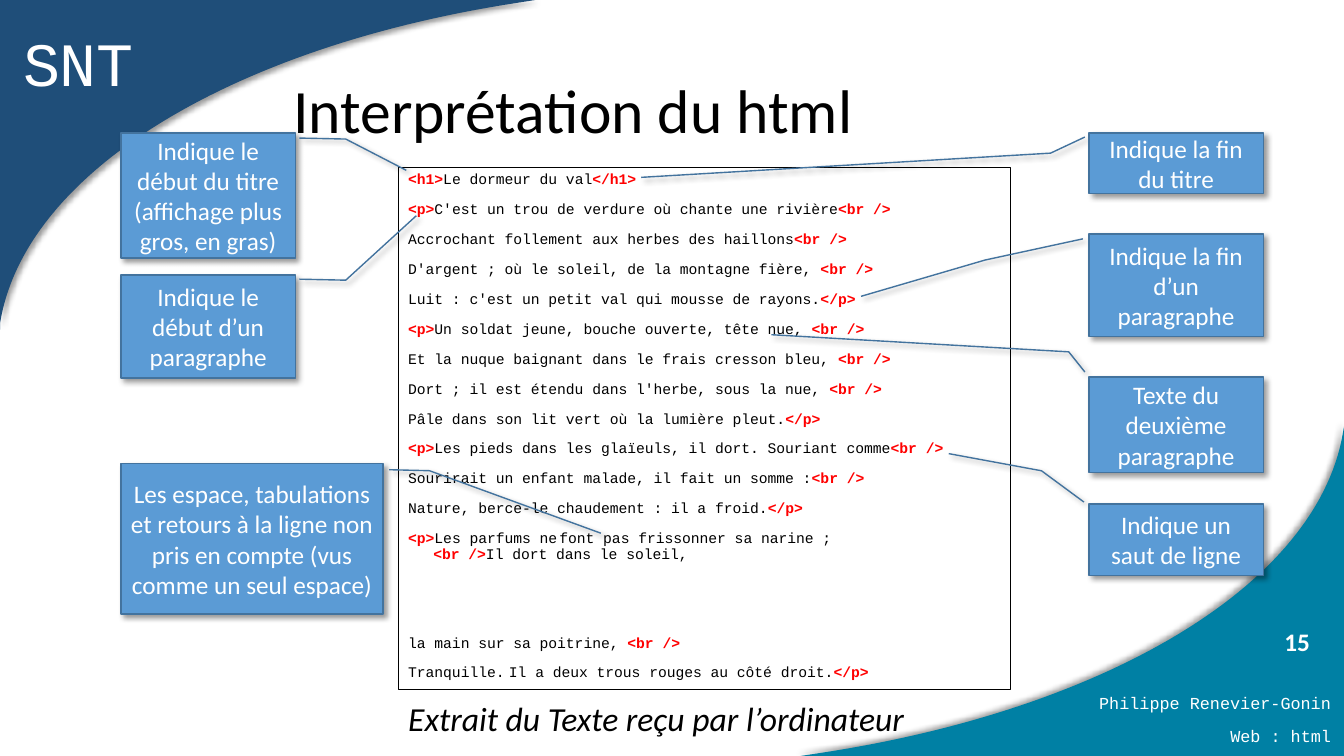
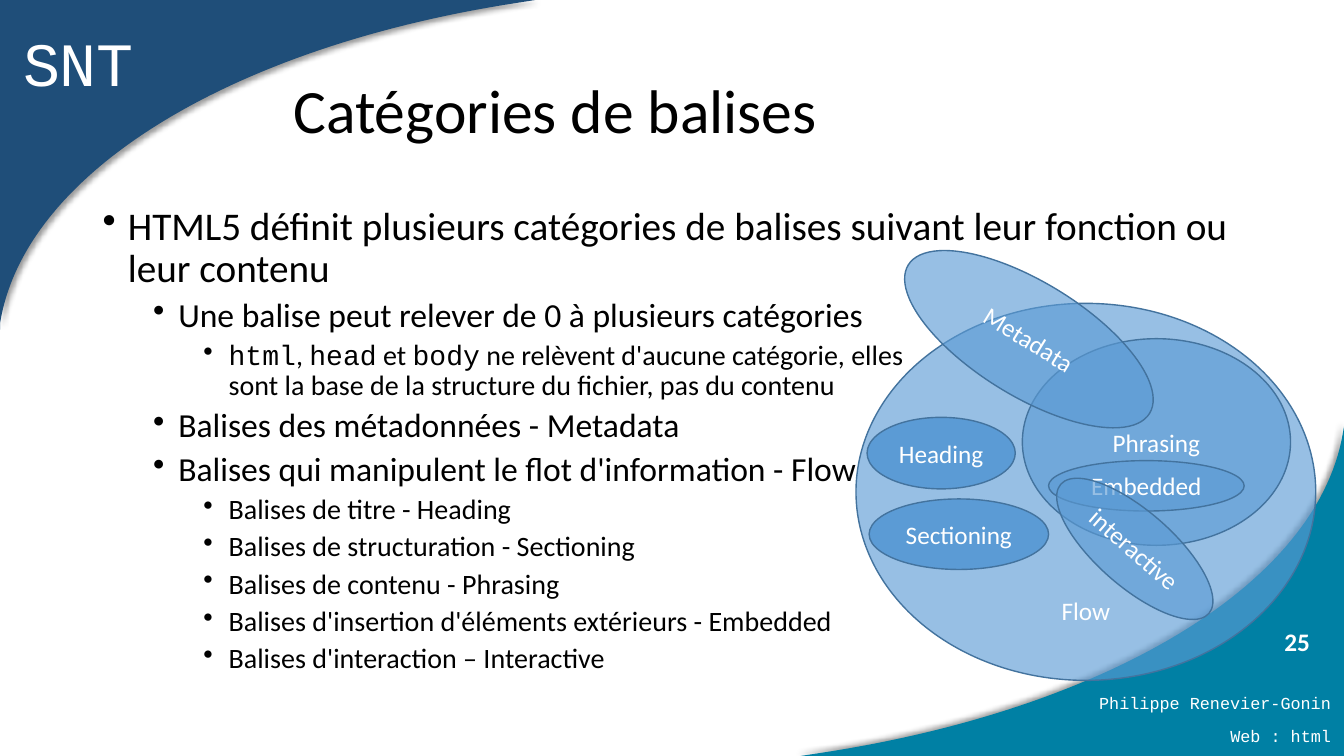
"""Build two slides of a lesson on HTML tags."""
from lxml import etree
from pptx import Presentation
from pptx.dml.color import RGBColor
from pptx.enum.shapes import MSO_SHAPE
from pptx.enum.text import MSO_ANCHOR, PP_ALIGN
from pptx.oxml.ns import qn
from pptx.util import Pt

PX = 9144
WIDE, HIGH = 1333, 750
OVAL, CALLOUT = MSO_SHAPE.OVAL, MSO_SHAPE.LINE_CALLOUT_2
LEFT, MID, RIGHT = PP_ALIGN.LEFT, PP_ALIGN.CENTER, PP_ALIGN.RIGHT
MIDDLE, BOTTOM = MSO_ANCHOR.MIDDLE, MSO_ANCHOR.BOTTOM
NAVY, TEAL, BLUE, EDGE = "1F4E79", "0080A4", "5B9BD5", "43739E"
WHITE, BLACK, RED = "FFFFFF", "000000", "FF0000"
SANS, MONO = "Calibri", "Courier New"
rgb = RGBColor.from_string


def paint(shape, fill, line=None, alpha=100, shade=None):
    """Set fill, outline, opacity and the angle of the shadow."""
    shape.shadow.inherit = False
    shape.fill.solid()
    shape.fill.fore_color.rgb = rgb(fill)
    if line:
        shape.line.color.rgb = rgb(line)
        shape.line.width = Pt(1)
    else:
        shape.line.fill.background()
    props = shape._element.spPr
    if alpha < 100:
        tone = props.find(qn("a:solidFill")).find(qn("a:srgbClr"))
        etree.SubElement(tone, qn("a:alpha"), val=str(alpha * 1000))
    if shade is not None:
        drop = etree.SubElement(
            props.find(qn("a:effectLst")), qn("a:outerShdw"), blurRad=str(Pt(4)),
            dist=str(Pt(3)), dir=str(shade * 60000), algn="tl", rotWithShape="0")
        tone = etree.SubElement(drop, qn("a:srgbClr"), val=BLACK)
        etree.SubElement(tone, qn("a:alpha"), val="40000")


def write(frame, text, size=18, font=SANS, color=WHITE, bold=False, italic=False,
          align=LEFT, before=0, line=1.0, indent=0, bullet=False, tab=0, alt=None):
    """Add a paragraph; every second part between bars takes the alt format."""
    para = frame.add_paragraph() if frame.text else frame.paragraphs[0]
    para.alignment = align
    para.space_before = Pt(before)
    para.line_spacing = line
    props = para._p.get_or_add_pPr()
    props.set("marL", str(indent * PX))
    props.set("indent", str(-25 * PX if bullet else 0))
    if bullet:
        etree.SubElement(props, qn("a:buChar"), char="•")
    if tab:
        stops = etree.SubElement(props, qn("a:tabLst"))
        etree.SubElement(stops, qn("a:tab"), pos=str(tab * PX), algn="l")
    base = dict(font=font, color=color, bold=bold)
    for i, part in enumerate(text.split("|")):
        look = {**base, **(alt or {})} if i % 2 else base
        for j, piece in enumerate(part.split("\n")):
            if j:
                para.add_line_break()
            if piece:
                run = para.add_run()
                run.text = piece
                run.font.size = Pt(size)
                run.font.name = look["font"]
                run.font.bold = look["bold"]
                run.font.italic = italic
                run.font.color.rgb = rgb(look["color"])


deck = Presentation()
deck.slide_width, deck.slide_height = WIDE * PX, HIGH * PX

CORNERS = [
    (TEAL, 225, [(WIDE, HIGH), (794, HIGH)],
     [(814, 747), (1097, 704), (1307, 580), (1332, 429)], (WIDE, 423)),
    (NAVY, 45, [(0, 0), (531, 0)],
     [(512, 3), (232, 46), (24, 170), (0, 321)], (0, 327)),
]
SHARED = [
    ("Web : html", (892, 715, 438, 30), dict(size=12, font=MONO, align=RIGHT)),
    ("Philippe Renevier-Gonin", (892, 682, 438, 30),
     dict(size=12, font=MONO, align=RIGHT)),
    ("SNT", (13, 20, 131, 84), dict(size=44, font=MONO)),
]
TITLE = dict(size=44, color=BLACK, line=0.9)
STEPS = 60

slides = []
for title, number in [("Interprétation du html", "15"), ("Catégories de balises", "25")]:
    slide = deck.slides.add_slide(deck.slide_layouts[6])
    slides.append(slide)
    for color, angle, start, curve, end in CORNERS:
        points = list(start)
        for step in range(STEPS + 1):
            t = step / STEPS
            parts = [(1 - t) ** 3, 3 * t * (1 - t) ** 2, 3 * t * t * (1 - t), t ** 3]
            points.append([sum(k * p[axis] for k, p in zip(parts, curve))
                           for axis in (0, 1)])
        points.append(end)
        points = [(round(x * PX), round(y * PX)) for x, y in points]
        build = slide.shapes.build_freeform(*points[0], scale=1.0)
        build.add_line_segments(points[1:], close=True)
        paint(build.convert_to_shape(), color, shade=angle)
    for text, place, look in SHARED:
        frame = slide.shapes.add_textbox(*[v * PX for v in place]).text_frame
        frame.word_wrap = text != "SNT"
        write(frame, text, **look)
    for text, place, look in [(number, (1264, 597, 57, 78), dict(bold=True)),
                              (title, (281, 40, 961, 145), TITLE)]:
        frame = slide.shapes.add_textbox(*[v * PX for v in place]).text_frame
        frame.word_wrap = True
        frame.vertical_anchor = MIDDLE
        write(frame, text, **look)

first, second = slides

CODE = [
    ("|<h1>|Le dormeur du val|</h1>|", {}),
    ("|<p>|C'est un trou de verdure où chante une rivière|<br />|", {}),
    ("Accrochant follement aux herbes des haillons|<br />|", {}),
    ("D'argent ; où le soleil, de la montagne fière, |<br />|", {}),
    ("Luit : c'est un petit val qui mousse de rayons.|</p>|", {}),
    ("|<p>|Un soldat jeune, bouche ouverte, tête nue, |<br />|", {}),
    ("Et la nuque baignant dans le frais cresson bleu, |<br />|", {}),
    ("Dort ; il est étendu dans l'herbe, sous la nue, |<br />|", {}),
    ("Pâle dans son lit vert où la lumière pleut.|</p>|", {}),
    ("|<p>|Les pieds dans les glaïeuls, il dort. Souriant comme|<br />|", {}),
    ("Sourirait un enfant malade, il fait un somme :|<br />|", {}),
    ("Nature, berce-le chaudement : il a froid.|</p>|", {}),
    ("|<p>|Les parfums ne\tfont pas frissonner sa narine ;", dict(tab=296)),
    ("|<br />|Il dort dans le soleil,", dict(before=0, indent=25)),
    ("la main sur sa poitrine, |<br />|", dict(before=52)),
    ("Tranquille.\tIl a deux trous rouges au côté droit.|</p>|", dict(tab=209)),
]
box = first.shapes.add_textbox(395 * PX, 166 * PX, 607 * PX, 518 * PX)
paint(box, WHITE, BLACK)
box.text_frame.word_wrap = True
for text, extra in CODE:
    look = dict(size=10.5, font=MONO, color=BLACK, before=10, line=0.9,
                alt=dict(color=RED, bold=True))
    write(box.text_frame, text, **{**look, **extra})

note = first.shapes.add_textbox(395 * PX, 692 * PX, 607 * PX, 56 * PX).text_frame
note.word_wrap = True
write(note, "Extrait du Texte reçu par l’ordinateur", size=24, color=BLACK,
      italic=True, before=10, line=0.9)

CALLS = [
    ("Indique le début du titre\n(affichage plus gros, en gras)",
     (120, 132, 173, 124), [(297, 137), (343, 138), (403, 169)]),
    ("Indique la fin du titre",
     (1080, 132, 173, 60), [(1076, 136), (1042, 152), (636, 176)]),
    ("Indique le début d’un paragraphe",
     (120, 273, 173, 102), [(297, 277), (343, 278), (413, 214)]),
    ("Indique la fin d’un paragraphe",
     (1080, 232, 173, 102), [(1074, 237), (977, 258), (854, 294)]),
    ("Indique un saut de ligne",
     (1080, 500, 173, 71), [(1075, 498), (1033, 467), (941, 450)]),
    ("Texte du deuxième paragraphe",
     (1080, 374, 173, 95), [(1076, 369), (1060, 349), (765, 332)]),
    ("Les espace, tabulations et retours à la ligne non pris en compte "
     "(vus comme un seul espace)",
     (120, 460, 260, 149), [(386, 466), (426, 467), (596, 529)]),
]
for text, place, leader in CALLS:
    x, y, w, h = place
    shape = first.shapes.add_shape(CALLOUT, *[v * PX for v in place])
    for i, (px, py) in enumerate(leader):
        shape.adjustments[2 * i] = (py - y) / h
        shape.adjustments[2 * i + 1] = (px - x) / w
    paint(shape, BLUE, EDGE, shade=45)
    shape.text_frame.vertical_anchor = MIDDLE
    for line in text.split("\n"):
        write(shape.text_frame, line, align=MID)

POINTS = [
    (0, "HTML5 définit plusieurs catégories de balises suivant leur fonction ou leur contenu"),
    (1, "Une balise peut relever de 0 à plusieurs catégories"),
    (2, "|html|, |head| et |body| ne relèvent d'aucune catégorie, elles \n"
        "sont la base de la structure du fichier, pas du contenu"),
    (1, "Balises des métadonnées - Metadata"),
    (1, "Balises qui manipulent le flot d'information - Flow"),
    (2, "Balises de titre - Heading"),
    (2, "Balises de structuration - Sectioning"),
    (2, "Balises de contenu - Phrasing"),
    (2, "Balises d'insertion d'éléments extérieurs - Embedded"),
    (2, "Balises d'interaction – Interactive"),
]
body = second.shapes.add_textbox(92 * PX, 200 * PX, 1150 * PX, 476 * PX).text_frame
body.word_wrap = True
for level, text in POINTS:
    write(body, text, size=28 - 4 * level, color=BLACK, before=5 if level else 10,
          line=0.9, indent=25 + 50 * level, bullet=True, alt=dict(font=MONO))

SETS = [
    ("Flow", (849, 301, 456, 374), 0, 63),
    ("Heading", (860, 414, 147, 71), 0, 100),
    ("Sectioning", (862, 495, 178, 70), 0, 100),
    ("Phrasing", (1014, 336, 266, 205), 0, 63),
    ("Embedded", (1040, 457, 194, 50), 0, 63),
    ("Metadata", (880, 280, 281, 113), 31.6, 63),
    ("interactive", (1028, 507, 195, 75), 41.1, 63),
]
for text, place, turn, alpha in SETS:
    shape = second.shapes.add_shape(OVAL, *[v * PX for v in place])
    shape.rotation = turn
    paint(shape, BLUE, EDGE, alpha)
    frame = shape.text_frame
    frame.vertical_anchor = MIDDLE
    if text == "Flow":
        frame.vertical_anchor = BOTTOM
        frame.margin_bottom = 0
    write(frame, text, align=MID)

deck.save("out.pptx")
